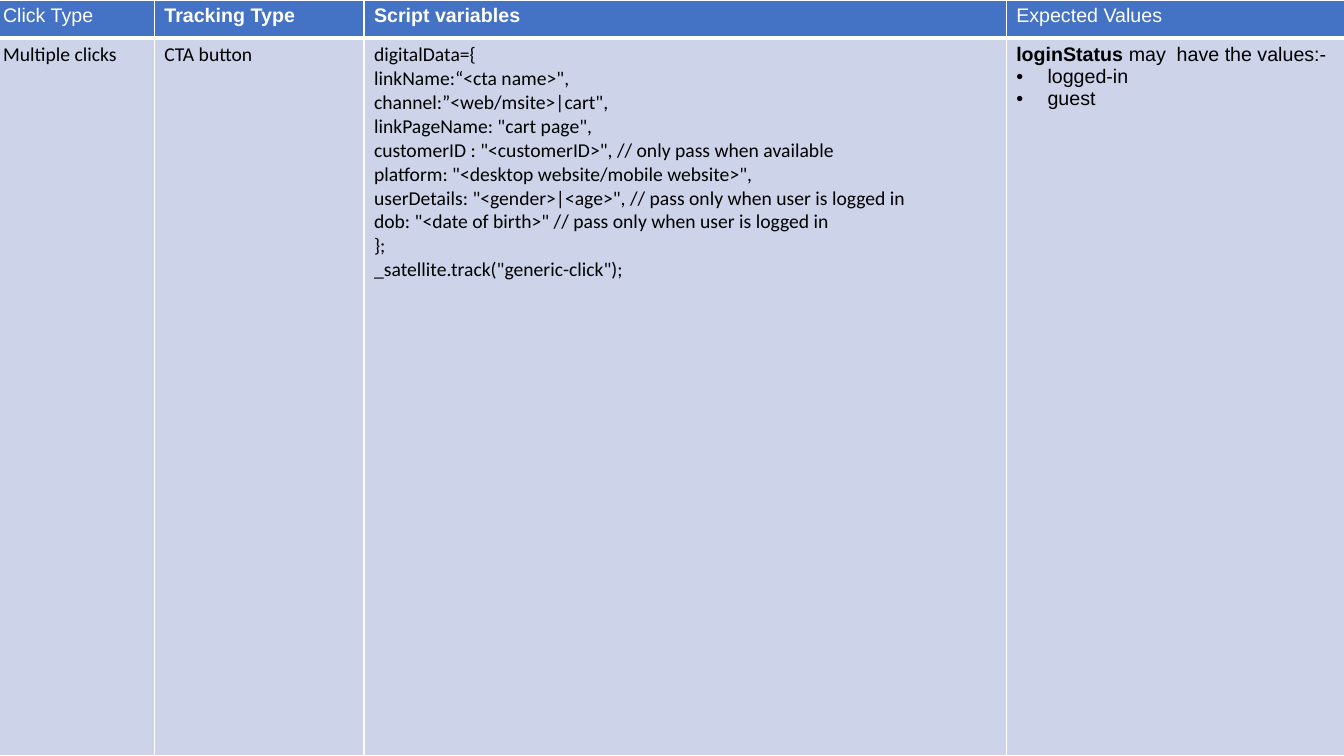
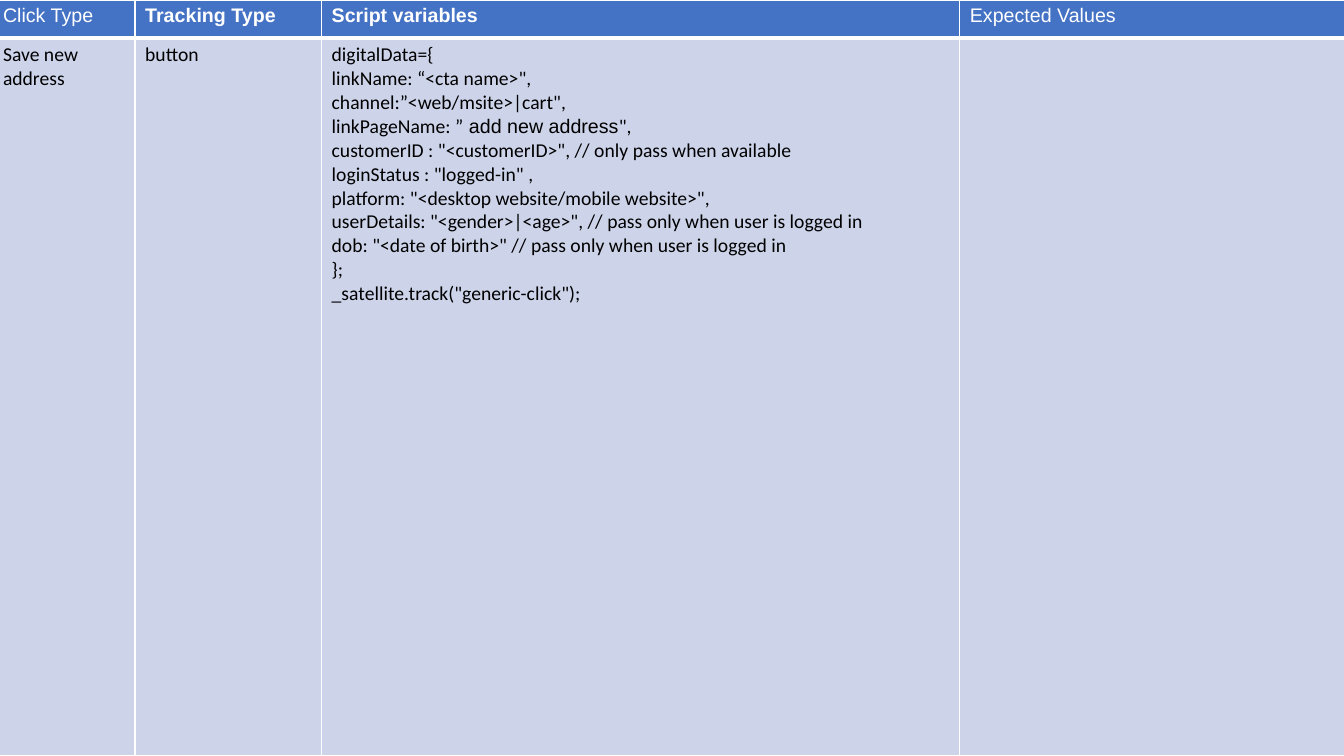
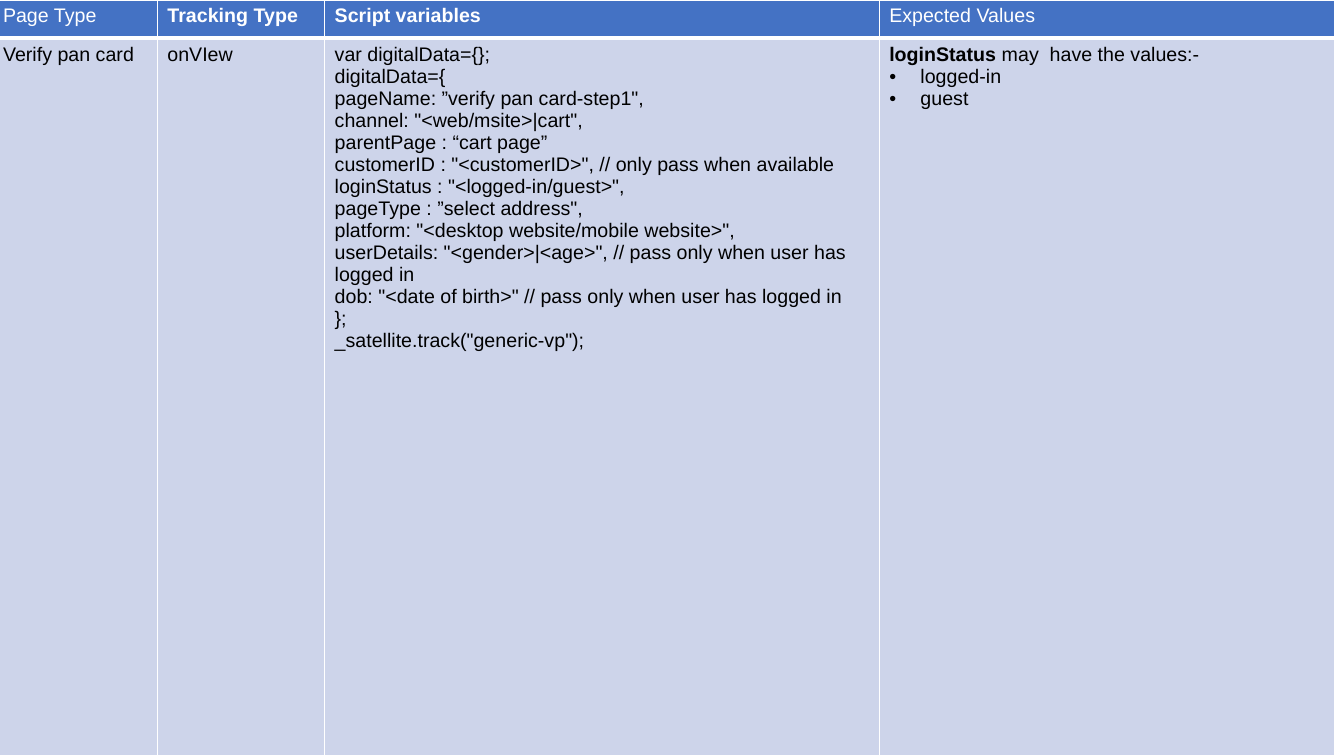
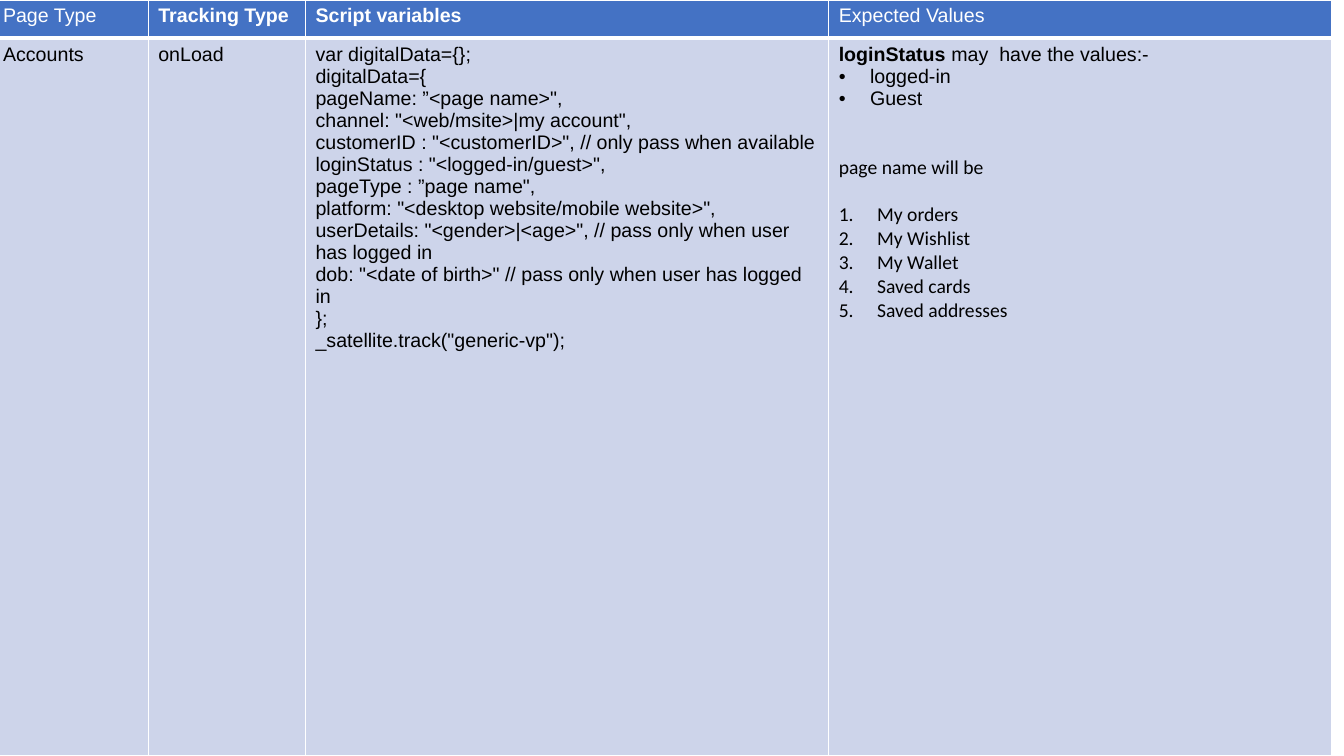
from lxml import etree
from pptx import Presentation
from pptx.dml.color import RGBColor
from pptx.oxml.ns import qn
from pptx.util import Inches, Pt

BLUE, PALE, WHITE, BLACK = "4472C4", "CDD4EA", "FFFFFF", "000000"
BULLET = dict(tag="a:buChar", attrs={"char": "•"}, indent=0.31)
NUMBER = dict(tag="a:buAutoNum", attrs={"type": "arabicPeriod"}, indent=0.38)
ROW_HEIGHTS = (0.38, 7.12)
TABLE_LEFT = -0.07

# Text shared by the slides
CUSTOMER = 'customerID : "<customerID>", // only pass when available'
LOGIN = 'loginStatus : "<logged-in/guest>",'
CHANNEL = 'channel:”<web/msite>|cart",'


def user_lines(verb, event):
    return ['platform: "<desktop website/mobile website>",',
            f'userDetails: "<gender>|<age>", // pass only when user {verb} logged in',
            f'dob: "<date of birth>" // pass only when user {verb} logged in',
            "};", f'_satellite.track("{event}");']


def login_values(guest):
    return [dict(runs=[("loginStatus ", {"bold": True}), ("may  have the values:-", {})]),
            dict(runs=["logged-in"], marker=BULLET),
            dict(runs=[guest], marker=BULLET)]


CLICK_END = user_lines("is", "generic-click")
VIEW_END = user_lines("has", "generic-vp")
CALIBRI = {"name": "Calibri"}
ACCOUNT_PAGES = ["My orders", "My Wishlist", "My Wallet", "Saved cards", "Saved addresses"]

# One entry per slide; cells hold lists of paragraphs
SLIDES = [
    dict(kind="Click Type", font="Calibri", widths=(1.6, 2.08, 6.37, 3.36), cells=[
        ["Multiple clicks"], ["CTA button"],
        ["digitalData={", 'linkName:“<cta name>",', CHANNEL,
         'linkPageName: "cart page",', CUSTOMER, *CLICK_END],
        login_values("guest")]),
    dict(kind="Click Type", font="Calibri", widths=(1.41, 1.85, 6.33, 3.82), cells=[
        ["Save new address"], ["button"],
        ["digitalData={", 'linkName: “<cta name>",', CHANNEL,
         dict(runs=["linkPageName: ”", (" add new address", {"name": "Arial"}), '",']),
         CUSTOMER, 'loginStatus : "logged-in" ,', *CLICK_END],
        []]),
    dict(kind="Page Type", font="Arial", widths=(1.63, 1.66, 5.5, 4.52), cells=[
        ["Verify pan card"], ["onVIew"],
        ["var digitalData={};", "digitalData={", 'pageName: ”verify pan card-step1",',
         'channel: "<web/msite>|cart",', "parentPage : “cart page”", CUSTOMER, LOGIN,
         'pageType : ”select address",', *VIEW_END],
        login_values("guest")]),
    dict(kind="Page Type", font="Arial", widths=(1.54, 1.56, 5.19, 4.99), cells=[
        ["Accounts"], ["onLoad"],
        ["var digitalData={};", "digitalData={", 'pageName: ”<page name>",',
         'channel: "<web/msite>|my account",', CUSTOMER, LOGIN,
         'pageType : ”page name",', *VIEW_END],
        login_values("Guest")
        + [dict(runs=[("page name will be", CALIBRI)], before=33)]
        + [dict(runs=[(page, CALIBRI)], marker=NUMBER, before=0 if i else 17)
           for i, page in enumerate(ACCOUNT_PAGES)]]),
]


def rgb(color):
    return RGBColor.from_string(color)


def set_marker(p, marker):
    pPr = p._p.get_or_add_pPr()
    indent = Inches(marker["indent"])
    pPr.set("marL", str(indent))
    pPr.set("indent", str(-indent))
    color = etree.SubElement(pPr, qn("a:buClr"))
    etree.SubElement(color, qn("a:srgbClr"), val=BLACK)
    etree.SubElement(pPr, qn("a:buFont"), typeface="Arial")
    etree.SubElement(pPr, qn(marker["tag"]), marker["attrs"])


def write(cell, paragraphs, color, **base):
    tf = cell.text_frame
    for i, para in enumerate(paragraphs):
        if isinstance(para, str):
            para = dict(runs=[para])
        p = tf.add_paragraph() if i else tf.paragraphs[0]
        if para.get("before"):
            p.space_before = Pt(para["before"])
        if "marker" in para:
            set_marker(p, para["marker"])
        for run in para["runs"]:
            text, changes = (run, {}) if isinstance(run, str) else run
            r = p.add_run()
            r.text = text
            for key, value in {"size": Pt(14), "bold": False, **base, **changes}.items():
                setattr(r.font, key, value)
            r.font.color.rgb = rgb(color)


def style_cell(cell, fill, **thick):
    tcPr = cell._tc.get_or_add_tcPr()
    for side in "LRTB":
        line = etree.SubElement(tcPr, qn(f"a:ln{side}"), w=str(Pt(thick.get(side, 1))))
        solid = etree.SubElement(line, qn("a:solidFill"))
        etree.SubElement(solid, qn("a:srgbClr"), val=WHITE)
    cell.fill.solid()
    cell.fill.fore_color.rgb = rgb(fill)


def add_tracking_table(s, kind, font, widths, cells):
    table = s.shapes.add_table(2, len(widths), Inches(TABLE_LEFT), 0,
                               Inches(sum(widths)), Inches(sum(ROW_HEIGHTS))).table
    for row, height in zip(table.rows, ROW_HEIGHTS):
        row.height = Inches(height)
    headers = [(kind, False), ("Tracking Type", True),
               ("Script variables", True), ("Expected Values", False)]
    for col, (width, (header, bold), body) in enumerate(zip(widths, headers, cells)):
        table.columns[col].width = Inches(width)
        top, bottom = table.cell(0, col), table.cell(1, col)
        style_cell(top, BLUE, B=3)
        style_cell(bottom, PALE, T=3)
        write(top, [header], WHITE, name="Arial", bold=bold)
        last = col == len(widths) - 1
        write(bottom, body, BLACK, name="Arial" if last else font)


def main():
    prs = Presentation()
    prs.slide_width, prs.slide_height = Inches(13.33), Inches(7.5)
    for content in SLIDES:
        s = prs.slides.add_slide(prs.slide_layouts[6])
        add_tracking_table(s, **content)
    prs.save("out.pptx")


if __name__ == "__main__":
    main()
